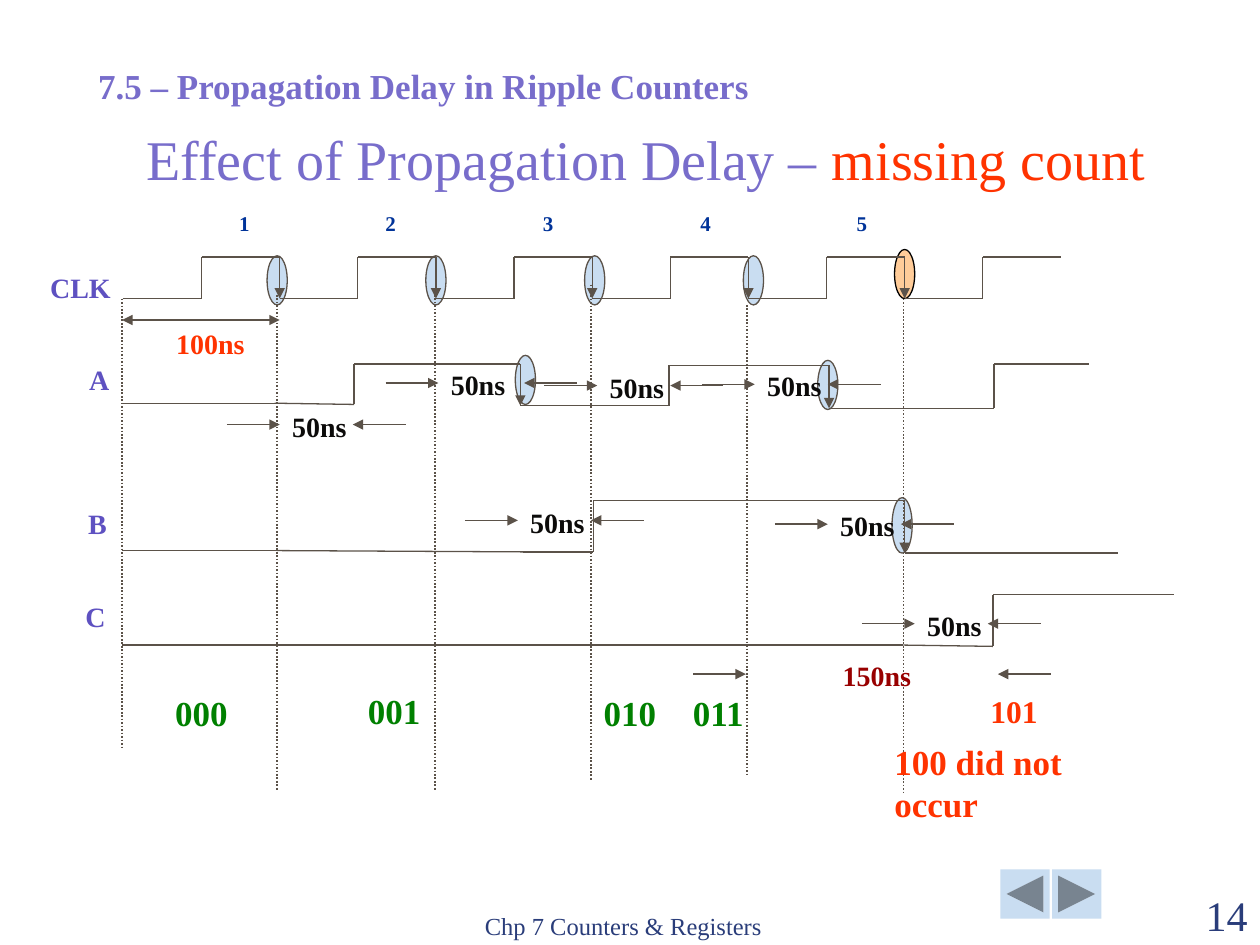
import dataclasses
import itertools
import typing

import pptx
import pptx.dml.color
import pptx.enum.dml
import pptx.enum.shapes
import pptx.enum.text
import pptx.oxml
import pptx.oxml.ns
import pptx.util
from pptx.util import Inches

RGBColor = pptx.dml.color.RGBColor
MSO_SHAPE = pptx.enum.shapes.MSO_SHAPE
PP_ALIGN = pptx.enum.text.PP_ALIGN
MSO_ANCHOR = pptx.enum.text.MSO_ANCHOR

FONT = "Times New Roman"
PURPLE = RGBColor(0x78, 0x6D, 0xCB)
SIGNAL_PURPLE = RGBColor(0x5E, 0x51, 0xC1)
NAVY = RGBColor(0x2A, 0x3D, 0x7A)
BLUE = RGBColor(0x00, 0x33, 0x99)
PALE_BLUE = RGBColor(0xC9, 0xDD, 0xF1)
ORANGE = RGBColor(0xFF, 0xCC, 0x99)
RED = RGBColor(0xFF, 0x33, 0x00)
DARK_RED = RGBColor(0x98, 0x00, 0x00)
GREEN = RGBColor(0x00, 0x80, 0x00)
BROWN = RGBColor(0x5B, 0x52, 0x49)
BLACK = RGBColor(0x00, 0x00, 0x00)
INK = RGBColor(0x0C, 0x0B, 0x0A)

Point = tuple[float, float]


@dataclasses.dataclass
class Label:
    text: str
    left: float
    top: float
    width: float
    height: float = 0.37
    size: int = 16
    color: RGBColor = SIGNAL_PURPLE
    bold: bool = True
    wrap: bool = True
    margin: typing.Optional[float] = None
    align: PP_ALIGN = PP_ALIGN.LEFT
    anchor: MSO_ANCHOR = MSO_ANCHOR.TOP
    tabs: tuple[float, ...] = ()


@dataclasses.dataclass
class Delay:
    """Two arrows pointing inwards at a delay, with its length between them."""
    left: float
    middle: float
    span: float = 1.42
    text: str = "50ns"
    text_offset: float = 0.42
    text_width: float = 0.63
    color: RGBColor = INK


@dataclasses.dataclass
class Edge:
    """Ellipse that marks a falling edge."""
    left: float
    top: float
    height: float = 0.39
    fill: RGBColor = PALE_BLUE
    line: RGBColor = BROWN


def style_span(span, size: int, color: RGBColor, bold: bool) -> None:
    span.font.name = FONT
    span.font.size = pptx.util.Pt(size)
    span.font.color.rgb = color
    span.font.bold = bold


def add_label(page, label: Label) -> None:
    box = page.shapes.add_textbox(Inches(label.left), Inches(label.top),
                                  Inches(label.width), Inches(label.height))
    frame = box.text_frame
    frame.word_wrap = label.wrap
    frame.vertical_anchor = label.anchor
    if label.margin is not None:
        frame.margin_left = frame.margin_right = Inches(label.margin)
        frame.margin_top = frame.margin_bottom = Inches(label.margin)
    frame.text = label.text
    para = frame.paragraphs[0]
    para.alignment = label.align
    if label.tabs:
        stops = pptx.oxml.ns.qn("a:tabLst")
        tab_list = para._p.get_or_add_pPr().makeelement(stops, {})
        para._p.get_or_add_pPr().append(tab_list)
        for stop in label.tabs:
            position = str(int(Inches(stop)))
            tab_list.append(tab_list.makeelement(
                pptx.oxml.ns.qn("a:tab"), {"pos": position, "algn": "l"}))
    for span in para.runs:
        style_span(span, label.size, label.color, label.bold)


def add_line(page, start: Point, end: Point, head: bool = False,
             tail: bool = False, dotted: bool = False) -> None:
    line = page.shapes.add_connector(
        pptx.enum.shapes.MSO_CONNECTOR.STRAIGHT,
        *(Inches(value) for value in (*start, *end)))
    line.line.color.rgb = BROWN
    line.line.width = pptx.util.Pt(1 if dotted else 0.75)
    if dotted:
        line.line.dash_style = pptx.enum.dml.MSO_LINE.ROUND_DOT
    outline = line.line._get_or_add_ln()
    for shown, tag in ((head, "a:headEnd"), (tail, "a:tailEnd")):
        if shown:
            outline.append(outline.makeelement(
                pptx.oxml.ns.qn(tag), {"type": "triangle"}))
    properties = line._element.spPr
    properties.append(properties.makeelement(
        pptx.oxml.ns.qn("a:effectLst"), {}))


def add_wave(page, points: list[Point]) -> None:
    """Draw a signal; every falling edge ends in an arrowhead."""
    for start, end in itertools.pairwise(points):
        falling = start[0] == end[0] and end[1] > start[1]
        add_line(page, start, end, tail=falling)


def add_delay(page, delay: Delay) -> None:
    right = delay.left + delay.span
    for outer, inner in ((delay.left, delay.left + 0.42), (right, right - 0.42)):
        add_line(page, (outer, delay.middle), (inner, delay.middle), tail=True)
    add_label(page, Label(delay.text, delay.left + delay.text_offset,
                          delay.middle - 0.17, delay.text_width,
                          color=delay.color, wrap=False))


def add_filled(page, kind, left: float, top: float, width: float, height: float,
               fill: RGBColor, line: typing.Optional[RGBColor] = None) -> None:
    shape = page.shapes.add_shape(kind, Inches(left), Inches(top),
                                  Inches(width), Inches(height))
    shape.shadow.inherit = False
    shape.fill.solid()
    shape.fill.fore_color.rgb = fill
    if line is None:
        shape.line.fill.background()
    else:
        shape.line.color.rgb = line
        shape.line.width = pptx.util.Pt(0.75)


def clock_points() -> list[Point]:
    low, high, half_period = 2.37, 2.04, 0.62
    points = []
    for step in range(12):
        level = high if step % 2 else low
        left = 0.98 + step * half_period
        points += [(left, level), (left + half_period, level)]
    # Shared edge positions keep the vertical segments exactly upright
    return [(round(x, 2), y) for x, y in points]


EDGES = [
    Edge(7.1, 1.98, fill=ORANGE, line=BLACK), Edge(7.08, 3.95, 0.44),
    Edge(6.49, 2.86), Edge(4.09, 2.82),
    *(Edge(2.12 + 1.26 * pulse, 2.03) for pulse in range(4)),
]
GUIDES = [(0.97, 2.37, 5.95), (2.2, 2.34, 6.28), (3.45, 2.34, 6.28),
          (4.69, 2.26, 6.2), (5.93, 2.42, 6.16), (7.17, 2.37, 6.31)]
WAVES = [
    clock_points(),
    # A
    [(0.98, 3.2), (2.18, 3.2), (2.81, 3.21), (2.81, 2.89), (3.47, 2.89),
     (4.13, 2.89), (4.13, 3.22), (4.69, 3.22), (5.31, 3.22), (5.31, 2.9),
     (5.92, 2.9), (6.58, 2.9), (6.58, 3.24), (7.18, 3.24), (7.89, 3.24),
     (7.89, 2.89), (8.64, 2.89)],
    # B
    [(0.97, 4.37), (2.2, 4.37), (4.15, 4.38), (4.71, 4.38), (4.71, 3.97),
     (6.54, 3.97), (7.18, 3.97), (7.18, 4.39), (8.87, 4.39)],
    # C
    [(0.97, 5.12), (2.2, 5.12), (4.13, 5.12), (7.17, 5.12), (7.88, 5.13),
     (7.88, 4.72), (9.32, 4.72)],
]
DELAYS = [
    Delay(1.8, 3.37), Delay(3.06, 3.04, 1.52), Delay(4.32, 3.06),
    Delay(5.57, 3.05), Delay(3.69, 4.13), Delay(6.15, 4.16), Delay(6.84, 4.95),
    Delay(5.5, 5.35, 2.84, "150ns", 1.09, 0.74, DARK_RED),
]
LABELS = [
    Label("7.5 – Propagation Delay in Ripple Counters", 0.68, 0.46, 5.62, 0.43,
          20, PURPLE),
    Label("1\t2\t3\t4\t5", 1.8, 1.62, 7.25, 0.3, 12, BLUE,
          tabs=(1.16, 2.41, 3.66, 4.9)),
    Label("CLK", 0.3, 2.1, 0.83), Label("A", 0.61, 2.83, 0.33),
    Label("B", 0.6, 3.97, 0.28), Label("C", 0.58, 4.71, 0.32),
    Label("100ns", 1.3, 2.54, 0.74, color=RED, wrap=False),
    *(Label(count, left, top, 0.47, 0.33, 20, GREEN, margin=0)
      for count, left, top in (("000", 1.39, 5.49), ("001", 2.92, 5.47),
                               ("010", 4.79, 5.49), ("011", 5.5, 5.49))),
    Label("101", 7.86, 5.49, 0.47, 0.3, 18, RED, margin=0),
    Label("100 did not occur", 7, 5.83, 2, 0.43, 20, RED),
    Label("Chp 7 Counters & Registers", 3.75, 7.01, 3.17, 0.5, 14, NAVY, False,
          anchor=MSO_ANCHOR.BOTTOM),
    Label("14", 9, 7.01, 1, 0.5, 24, NAVY, False, align=PP_ALIGN.RIGHT,
          anchor=MSO_ANCHOR.BOTTOM),
]


def main() -> None:
    deck = pptx.Presentation()
    deck.slide_width, deck.slide_height = Inches(10), Inches(7.5)
    page = deck.slides.add_slide(deck.slide_layouts[5])

    # Title
    title = page.shapes.title
    title.left, title.top = Inches(0.5), Inches(0.99)
    title.width, title.height = Inches(9.25), Inches(0.58)
    title.text_frame.vertical_anchor = MSO_ANCHOR.BOTTOM
    para = title.text_frame.paragraphs[0]
    para.alignment = PP_ALIGN.CENTER
    for text, color in (("Effect of Propagation Delay – ", PURPLE),
                        ("missing count", RED)):
        span = para.add_run()
        span.text = text
        style_span(span, 32, color, False)

    # Navigation buttons
    for kind, left in ((MSO_SHAPE.ACTION_BUTTON_BACK_OR_PREVIOUS, 7.94),
                       (MSO_SHAPE.ACTION_BUTTON_FORWARD_OR_NEXT, 8.35)):
        add_filled(page, kind, left, 6.9, 0.39, 0.39, PALE_BLUE)

    # Timing diagram
    for edge in EDGES:
        add_filled(page, MSO_SHAPE.OVAL, edge.left, edge.top, 0.16, edge.height,
                   edge.fill, edge.line)
    for x, top, bottom in GUIDES:
        add_line(page, (x, top), (x, bottom), dotted=True)
    for wave in WAVES:
        add_wave(page, wave)
    add_line(page, (0.97, 2.54), (2.22, 2.54), head=True, tail=True)
    for delay in DELAYS:
        add_delay(page, delay)

    # Labels
    for label in LABELS:
        add_label(page, label)

    deck.save("out.pptx")


if __name__ == "__main__":
    main()
